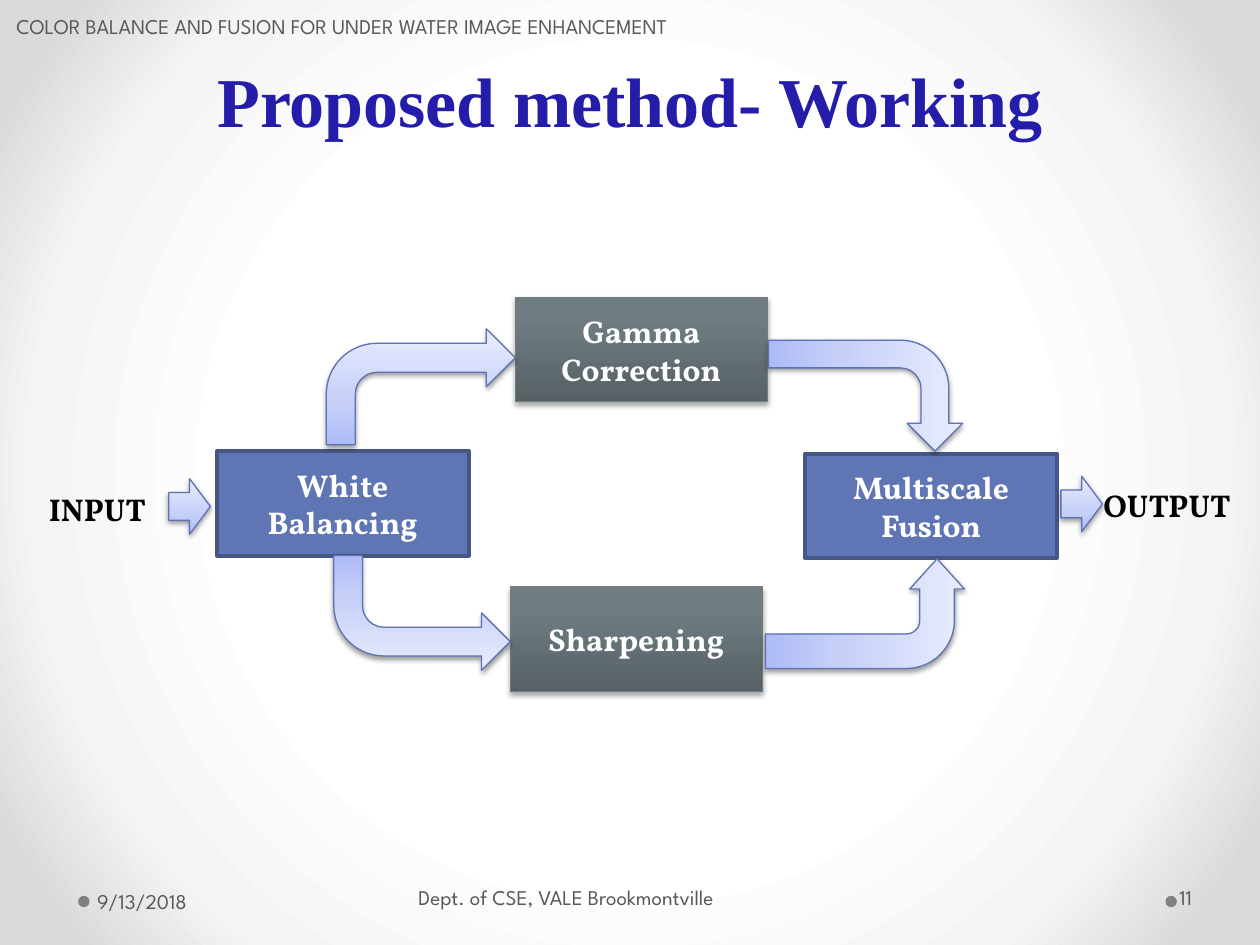
from lxml import etree
from pptx import Presentation
from pptx.dml.color import RGBColor
from pptx.enum.shapes import MSO_SHAPE
from pptx.enum.text import MSO_ANCHOR, PP_ALIGN
from pptx.oxml.ns import qn
from pptx.util import Inches, Pt

RECT, OVAL = MSO_SHAPE.RECTANGLE, MSO_SHAPE.OVAL
BENT, RIGHT = MSO_SHAPE.BENT_ARROW, MSO_SHAPE.RIGHT_ARROW
MIDDLE, TOP, BOTTOM = MSO_ANCHOR.MIDDLE, MSO_ANCHOR.TOP, MSO_ANCHOR.BOTTOM
LEFT, CENTER = PP_ALIGN.LEFT, PP_ALIGN.CENTER

WHITE = RGBColor(0xFF, 0xFF, 0xFF)
BLACK = RGBColor(0, 0, 0)
NAVY = RGBColor(0x24, 0x1D, 0xA9)
BLUE = RGBColor(0x60, 0x76, 0xB4)
EDGE = RGBColor(0x47, 0x57, 0x85)
RIM = RGBColor(0x5C, 0x72, 0xB2)
STEEL = RGBColor(0x72, 0x7D, 0x82)
GRAY = RGBColor(0x59, 0x59, 0x59)
DOT = RGBColor(0x80, 0x80, 0x80)

# Gradient stops: percent, colour
PAGE = [(50, WHITE), (76, RGBColor(0xF4, 0xF4, 0xF4)),
        (92, RGBColor(0xDA, 0xDA, 0xDA))]
SLATE = [(0, RGBColor(0x56, 0x60, 0x65)), (80, RGBColor(0x6F, 0x7D, 0x83)),
         (100, RGBColor(0x6F, 0x7E, 0x84))]
SKY = [(0, RGBColor(0xAD, 0xBB, 0xF6)), (35, RGBColor(0xC5, 0xCF, 0xF8)),
       (100, RGBColor(0xE8, 0xEC, 0xFD))]
UPWARD = '<a:lin ang="16200000" scaled="0"/>'
RADIAL = ('<a:path path="circle"><a:fillToRect l="50000" t="50000" '
          'r="50000" b="50000"/></a:path>')

SANS, SERIF, TIMES = "League Spartan", "Vollkorn", "Times New Roman"
TITLE = "Proposed method- Working"
BOX_W, BOX_H = 2, 0.83
ARROW_W, ARROW_H = 0.33, 0.44

# Text, left, top
STEPS = [("White Balancing", 1.72, 3.58), ("Multiscale\nFusion", 6.39, 3.6)]
FILTERS = [("Gamma\nCorrection", 4.09, 2.36), ("Sharpening", 4.05, 4.66)]
# Left, top, width, height, turn, flip, adjustments
BENDS = [
    (2.59, 2.61, 1.5, 0.92, 0, None, ()),
    (2.65, 4.41, 1.4, 0.91, 0, "flipV", ()),
    (6.43, 2.37, 0.88, 1.54, 90, None, ()),
    (6.43, 4.08, 0.87, 1.58, 90, "flipH", (0.315, 0.25, 0.276, 0.438)),
]
ARROWS = [(1.34, 3.8), (8.42, 3.78)]
# Text, left, top, width
ENDS = [("INPUT", 0.29, 3.84, 1.03), ("OUTPUT", 8.66, 3.81, 1.3)]
# Text, left, top, width, left inset, right inset
NOTES = [
    ("COLOR BALANCE AND FUSION FOR UNDER WATER IMAGE ENHANCEMENT",
     0.08, 0.01, 6.08, 0.05, 0.1),
    ("9/13/2018", 0.72, 6.95, 3.11, 0.05, 0.1),
    (" Dept. of CSE, VALE Brookmontville", 3.25, 6.92, 3.78, 0.03, 0.05),
    ("11", 9.33, 6.92, 0.61, 0.03, 0.05),
]
NOTE_H, DOT_SIZE, DOT_TOP = 0.4, 0.09, 7.11
DOTS = [0.62, 9.25]


def inch(*sizes):
    return [Inches(s) for s in sizes]


def xml(tag, body, attrs=""):
    ns = "http://schemas.openxmlformats.org/drawingml/2006/main"
    return etree.fromstring(f'<a:{tag} xmlns:a="{ns}" {attrs}>{body}</a:{tag}>')


def blend(fill, root, stops, way):
    """Give the fill, held under root, a gradient running the given way."""
    fill.gradient()
    old = root.find(".//" + qn("a:gradFill"))
    marks = "".join(f'<a:gs pos="{p * 1000}"><a:srgbClr val="{c}"/></a:gs>'
                    for p, c in stops)
    new = xml("gradFill", f"<a:gsLst>{marks}</a:gsLst>{way}",
              'rotWithShape="1"')
    old.getparent().replace(old, new)


def write(shape, text, font=SERIF, size=18, color=WHITE, bold=True,
          align=CENTER, anchor=MIDDLE, wrap=True, inset=(0.1, 0.1),
          space=None):
    frame = shape.text_frame
    frame.word_wrap = wrap
    frame.vertical_anchor = anchor
    frame.margin_left, frame.margin_right = inch(*inset)
    frame.text = text
    for para in frame.paragraphs:
        para.alignment = align
        if space:
            para.line_spacing = Pt(space)
        for run in para.runs:
            run.font.name, run.font.size = font, Pt(size)
            run.font.bold, run.font.color.rgb = bold, color


def draw(slide, kind, at, fill, line=None, width=0.75, shade=None):
    """Add a shape; shade is the shadow's opacity and distance in points."""
    shape = slide.shapes.add_shape(kind, *inch(*at))
    shape.shadow.inherit = False
    props = shape.element.spPr
    if isinstance(fill, list):
        blend(shape.fill, props, fill, UPWARD)
    else:
        shape.fill.solid()
        shape.fill.fore_color.rgb = fill
    if line is None:
        shape.line.fill.background()
    else:
        shape.line.color.rgb = line
        shape.line.width = Pt(width)
    if shade:
        alpha, dist = shade
        props.find(qn("a:effectLst")).append(xml(
            "outerShdw",
            f'<a:srgbClr val="{BLACK}"><a:alpha val="{alpha * 1000}"/></a:srgbClr>',
            f'blurRad="{Pt(3.1)}" dist="{Pt(dist)}" dir="5400000" '
            'rotWithShape="0"'))
    return shape


def label(slide, text, at, **form):
    write(slide.shapes.add_textbox(*inch(*at)), text, align=LEFT, **form)


def main():
    deck = Presentation()
    deck.slide_width, deck.slide_height = inch(10, 7.5)
    slide = deck.slides.add_slide(deck.slide_layouts[5])
    blend(slide.background.fill, slide.element, PAGE, RADIAL)

    title = slide.shapes.title
    title.left, title.top, title.width, title.height = inch(0.5, 0.17, 9, 1)
    write(title, TITLE, font=TIMES, size=40, color=NAVY, anchor=BOTTOM, space=58)

    for x in DOTS:
        draw(slide, OVAL, (x, DOT_TOP, DOT_SIZE, DOT_SIZE), DOT)
    for text, x, y in FILTERS:
        write(draw(slide, RECT, (x, y, BOX_W, BOX_H), SLATE, STEEL,
                   shade=(35, 1.8)), text)
    for text, x, y in STEPS:
        write(draw(slide, RECT, (x, y, BOX_W, BOX_H), BLUE, EDGE, 2.25), text)

    for *at, turn, flip, adjust in BENDS:
        bend = draw(slide, BENT, at, SKY, RIM, shade=(38, 1.6))
        bend.rotation = turn
        if flip:
            bend.element.spPr.find(qn("a:xfrm")).set(flip, "1")
        for i, value in enumerate(adjust):
            bend.adjustments[i] = value
    for x, y in ARROWS:
        draw(slide, RIGHT, (x, y, ARROW_W, ARROW_H), SKY, RIM, shade=(38, 1.6))

    for text, x, y, w in ENDS:
        label(slide, text, (x, y, w, NOTE_H), color=BLACK, anchor=TOP, wrap=False)
    for text, x, y, w, *inset in NOTES:
        label(slide, text, (x, y, w, NOTE_H), font=SANS, size=12, color=GRAY,
              bold=False, inset=inset)
    deck.save("out.pptx")


if __name__ == "__main__":
    main()
